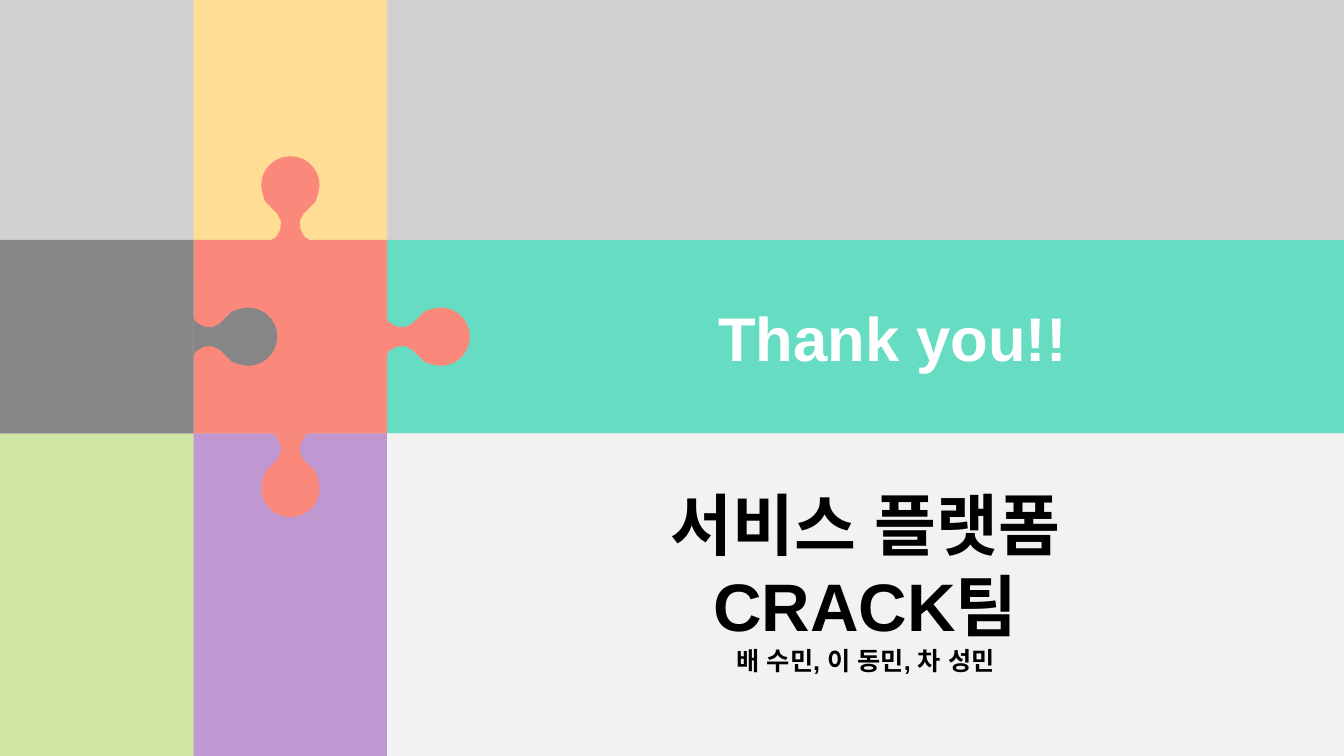
import pptx
import pptx.util
import pptx.dml.color
import pptx.enum.lang
import pptx.enum.shapes
import pptx.enum.text

RGBColor = pptx.dml.color.RGBColor
PX = 9144

SILVER = RGBColor(0xD1, 0xD1, 0xD1)
LIME = RGBColor(0xD0, 0xE6, 0xA5)
YELLOW = RGBColor(0xFF, 0xDD, 0x95)
PURPLE = RGBColor(0xBF, 0x97, 0xD1)
TEAL = RGBColor(0x66, 0xDC, 0xC3)
CORAL = RGBColor(0xFA, 0x89, 0x7B)
GRAY = RGBColor(0x86, 0x86, 0x86)
PALE = RGBColor(0xF2, 0xF2, 0xF2)
WHITE = RGBColor(0xFF, 0xFF, 0xFF)
BLACK = RGBColor(0x00, 0x00, 0x00)

WIDTH, HEIGHT = 1333, 750
PIECE = 192
LEFT, RIGHT = PIECE, 2 * PIECE
TOP, BOTTOM = 238, 238 + PIECE
HEADER_BOTTOM = 279
MIDDLE_X, MIDDLE_Y = LEFT + PIECE // 2, TOP + PIECE // 2

KNOB_START = (0, 19)
KNOB_CURVES = [
    (2, (0, 19), (3, 10), (10, 10)),
    (2, (17, 9), (20, 8), (26, 13)),
    (1, (32, 20), (36, 23), (38, 25)),
    (2, (41, 26), (48, 29), (54, 29)),
    (7, (70, 29), (83, 16), (83, 0)),
]


def knob_outline():
    points = [KNOB_START]
    for steps, *curve in KNOB_CURVES:
        controls = (points[-1], *curve)
        for step in range(1, steps + 1):
            t = step / steps
            weights = ((1 - t) ** 3, 3 * t * (1 - t) ** 2, 3 * t ** 2 * (1 - t), t ** 3)
            points.append(tuple(
                sum(weight * control[axis] for weight, control in zip(weights, controls))
                for axis in (0, 1)
            ))
    mirrored = [(along, -across) for along, across in reversed(points[:-1])]
    return points + mirrored


def paint(shape, color):
    shape.shadow.inherit = False
    shape.fill.solid()
    shape.fill.fore_color.rgb = color
    shape.line.fill.background()


def add_block(shapes, left, top, right, bottom, color):
    shape = shapes.add_shape(
        pptx.enum.shapes.MSO_SHAPE.RECTANGLE,
        left * PX, top * PX, (right - left) * PX, (bottom - top) * PX,
    )
    paint(shape, color)


def add_knob(shapes, x, y, direction, color):
    dx, dy = direction
    points = [
        (round((x + along * dx - across * dy) * PX),
         round((y + along * dy + across * dx) * PX))
        for along, across in knob_outline()
    ]
    builder = shapes.build_freeform(*points[0])
    builder.add_line_segments(points[1:], close=True)
    paint(builder.convert_to_shape(), color)


def add_text(shapes, left, top, width, height, lines, color):
    box = shapes.add_textbox(left * PX, top * PX, width * PX, height * PX)
    text_frame = box.text_frame
    text_frame.word_wrap = True
    text_frame.auto_size = pptx.enum.text.MSO_AUTO_SIZE.SHAPE_TO_FIT_TEXT
    text_frame.text = "\n".join(text for text, size in lines)
    for paragraph, (text, size) in zip(text_frame.paragraphs, lines):
        paragraph.alignment = pptx.enum.text.PP_ALIGN.CENTER
        for run in paragraph.runs:
            run.font.name = "Arial"
            run.font.size = pptx.util.Pt(size)
            run.font.bold = True
            run.font.color.rgb = color
            run.font.language_id = pptx.enum.lang.MSO_LANGUAGE_ID.KOREAN
    return text_frame


def add_background(shapes):
    add_block(shapes, 0, 0, WIDTH, HEIGHT, SILVER)
    add_block(shapes, RIGHT, 0, WIDTH, HEADER_BOTTOM, SILVER)
    add_block(shapes, 0, BOTTOM, LEFT, HEIGHT, LIME)
    add_block(shapes, LEFT, 0, RIGHT, HEADER_BOTTOM, YELLOW)
    add_block(shapes, LEFT, BOTTOM, RIGHT, HEIGHT, PURPLE)
    add_block(shapes, RIGHT, TOP, WIDTH, BOTTOM, TEAL)


def add_puzzle(shapes):
    coral_piece = shapes.add_group_shape().shapes
    add_knob(coral_piece, RIGHT - 1, MIDDLE_Y, (1, 0), CORAL)
    add_block(coral_piece, LEFT, TOP, RIGHT, BOTTOM, CORAL)
    add_knob(coral_piece, MIDDLE_X, BOTTOM, (0, 1), CORAL)
    add_knob(coral_piece, MIDDLE_X, TOP, (0, -1), CORAL)

    gray_piece = shapes.add_group_shape().shapes
    add_block(gray_piece, 0, TOP, LEFT, BOTTOM, GRAY)
    add_knob(gray_piece, LEFT, MIDDLE_Y, (1, 0), GRAY)


def main():
    presentation = pptx.Presentation()
    presentation.slide_width = WIDTH * PX
    presentation.slide_height = HEIGHT * PX
    slide = presentation.slides.add_slide(presentation.slide_layouts[6])
    shapes = slide.shapes

    add_background(shapes)
    add_puzzle(shapes)

    title = add_text(shapes, 509, 297, 753, 74, [("Thank you!!", 44)], WHITE)
    title.vertical_anchor = pptx.enum.text.MSO_ANCHOR.MIDDLE
    title.margin_left = title.margin_right = 0
    title.margin_top = title.margin_bottom = 0

    add_block(shapes, RIGHT, BOTTOM, WIDTH, HEIGHT, PALE)
    team = [("서비스 플랫폼", 48), ("CRACK팀", 48), ("배 수민, 이 동민, 차 성민", 18)]
    add_text(shapes, 500, 475, 717, 232, team, BLACK)

    presentation.save("out.pptx")


if __name__ == "__main__":
    main()
